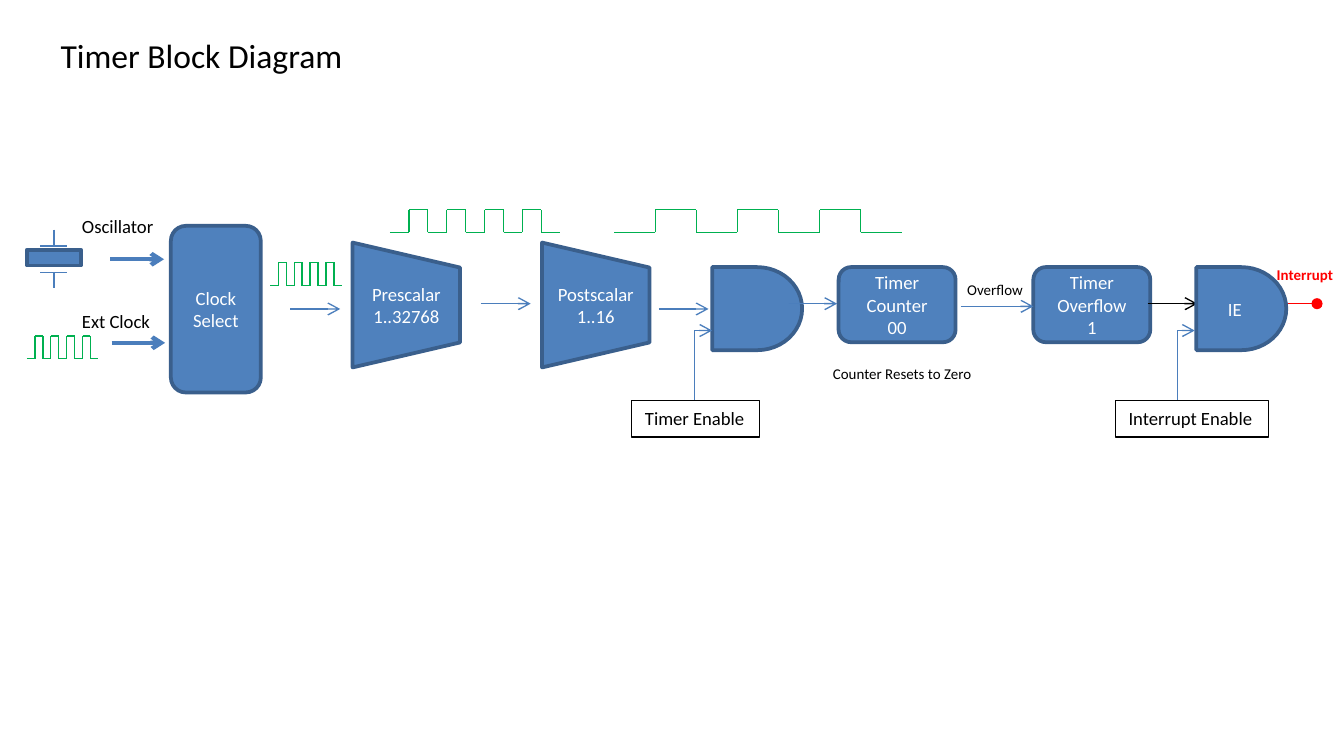
import dataclasses

import lxml.etree
import pptx
import pptx.dml.color
import pptx.enum.shapes
import pptx.enum.text
import pptx.oxml.ns
import pptx.util

Cm = pptx.util.Cm
Preset = pptx.enum.shapes.MSO_SHAPE
Connector = pptx.enum.shapes.MSO_CONNECTOR
Anchor = pptx.enum.text.MSO_ANCHOR
Align = pptx.enum.text.PP_ALIGN
AutoSize = pptx.enum.text.MSO_AUTO_SIZE
rgb = pptx.dml.color.RGBColor.from_string
qn = pptx.oxml.ns.qn


@dataclasses.dataclass(frozen=True)
class Theme:
    font: str = "Calibri"
    title_size: float = 18
    label_size: float = 10
    small_size: float = 8
    thin: float = 0.75
    outline: float = 2
    thick: float = 2.25
    block: str = "4F81BD"
    block_edge: str = "3A5F8C"
    wire: str = "4B7EBC"
    wave: str = "00B050"
    alert: str = "FF0000"
    black: str = "000000"
    white: str = "FFFFFF"


theme = Theme()


def write_text(shape, text, size=theme.label_size, color=theme.black, bold=False,
               align=Align.LEFT, anchor=Anchor.TOP, wrap=False):
    frame = shape.text_frame
    frame.word_wrap = wrap
    frame.auto_size = AutoSize.NONE if wrap else AutoSize.SHAPE_TO_FIT_TEXT
    frame.vertical_anchor = anchor
    for index, line in enumerate(text.split("\n")):
        paragraph = frame.add_paragraph() if index else frame.paragraphs[0]
        paragraph.alignment = align
        run = paragraph.add_run()
        run.text = line
        run.font.name = theme.font
        run.font.size = pptx.util.Pt(size)
        run.font.bold = bold
        run.font.color.rgb = rgb(color)


def add_wire(shapes, x1, y1, x2, y2, color=theme.wire, width=theme.thin,
             head=None, tail=None, kind=Connector.STRAIGHT):
    wire = shapes.add_connector(kind, Cm(x1), Cm(y1), Cm(x2), Cm(y2))
    wire.line.color.rgb = rgb(color)
    wire.line.width = pptx.util.Pt(width)
    properties = wire._element.spPr
    for tag, end in (("a:headEnd", head), ("a:tailEnd", tail)):
        if end:
            lxml.etree.SubElement(properties.find(qn("a:ln")), qn(tag), type=end)
    lxml.etree.SubElement(properties, qn("a:effectLst"))
    return wire


presentation = pptx.Presentation()
presentation.slide_width = Cm(25.4)
presentation.slide_height = Cm(14.29)
slide = presentation.slides.add_slide(presentation.slide_layouts[5])
shapes = slide.shapes

# Title
title = shapes.title
title.left, title.top, title.width, title.height = Cm(0.89), Cm(0.53), Cm(5.89), Cm(1.02)
write_text(title, "Timer Block Diagram", size=theme.title_size)

# Crystal leads and plates
for lead_end, plate in ((4.34, 4.65), (5.44, 5.15)):
    add_wire(shapes, 1.02, lead_end, 1.02, plate)
    add_wire(shapes, 0.76, plate, 1.27, plate)

# Arrows: x1, y, x2, format
arrows = [
    (2.08, 4.9, 3.1, {"width": theme.thick}),
    (2.11, 6.48, 3.12, {"width": theme.thick}),
    (5.49, 5.84, 6.43, {}),
    (9.09, 5.74, 10.03, {}),
    (12.45, 5.84, 13.39, {}),
    (14.91, 5.74, 15.82, {}),
    (18.16, 5.79, 19.53, {}),
    (21.69, 5.74, 22.63, {"color": theme.black}),
    (23.98, 5.74, 24.89, {"color": theme.alert, "head": "oval", "tail": "oval"}),
]

# Blocks: preset, left, top, width, height, text
trapezoid = Preset.FLOWCHART_MANUAL_OPERATION
blocks = [
    (Preset.RECTANGLE, 0.51, 4.72, 1.02, 0.3, ""),
    (Preset.ROUNDED_RECTANGLE, 3.23, 4.27, 1.7, 3.15, "Clock Select"),
    (trapezoid, 6.5, 4.75, 2.36, 2.03, "Prescalar\n1..32768"),
    (trapezoid, 10.08, 4.75, 2.36, 2.03, "Postscalar\n1..16"),
    (Preset.FLOWCHART_DELAY, 13.46, 5.05, 1.7, 1.57, ""),
    (Preset.ROUNDED_RECTANGLE, 15.85, 5.05, 2.21, 1.42, "Timer Counter\n00"),
    (Preset.ROUNDED_RECTANGLE, 19.53, 5.05, 2.21, 1.42, "Timer Overflow\n1"),
    (Preset.FLOWCHART_DELAY, 22.61, 5.05, 1.7, 1.57, "IE"),
]
for preset, left, top, width, height, text in blocks:
    if text == "IE":  # the arrows run above the other blocks and below this gate
        for x1, y, x2, style in arrows:
            add_wire(shapes, x1, y, x2, y, **{"tail": "arrow", **style})
    block = shapes.add_shape(preset, Cm(left), Cm(top), Cm(width), Cm(height))
    block.shadow.inherit = False
    block.fill.solid()
    block.fill.fore_color.rgb = rgb(theme.block)
    block.line.color.rgb = rgb(theme.block_edge)
    block.line.width = pptx.util.Pt(theme.outline)
    if text:
        write_text(block, text, color=theme.white, align=Align.CENTER,
                   anchor=Anchor.MIDDLE, wrap=True)
    if preset == trapezoid:
        block.rotation = 270
        block.text_frame._txBody.bodyPr.set("vert", "vert")

# Square waves: left, right, low level, high level, pulses
waves = [
    (0.51, 1.86, 6.78, 6.35, 4),
    (5.11, 6.46, 5.4, 4.96, 4),
    (7.37, 10.59, 4.39, 3.96, 4),
    (11.61, 17.04, 4.39, 3.96, 3),
]
for left, right, low, high, pulses in waves:
    wave = shapes.add_group_shape().shapes
    runs = 2 * pulses + 1
    step = (right - left) / runs
    for run in range(runs):
        x = left + run * step
        level = high if run % 2 else low
        add_wire(wave, x, level, x + step, level, color=theme.wave)
        if run:
            add_wire(wave, x, low, x, high, color=theme.wave)

# Enable inputs: each wire goes up, then right into the gate
for x1, x2 in ((13.13, 13.46), (22.25, 22.58)):
    y1, y2 = 7.65, 6.25
    center_x, center_y = (x1 + x2) / 2, (y1 + y2) / 2
    half_length, half_depth = (y1 - y2) / 2, (x2 - x1) / 2
    elbow = add_wire(shapes, center_x + half_length, center_y + half_depth,
                     center_x - half_length, center_y - half_depth,
                     tail="arrow", kind=Connector.ELBOW)
    properties = elbow._element.spPr
    properties.find(qn("a:xfrm")).set("rot", "5400000")
    geometry = properties.find(qn("a:prstGeom"))
    adjustments = geometry.find(qn("a:avLst"))
    if adjustments is None:
        adjustments = lxml.etree.SubElement(geometry, qn("a:avLst"))
    lxml.etree.SubElement(adjustments, qn("a:gd"), name="adj1", fmla="val 100000")

for left, width, text in ((11.94, 2.41, "Timer Enable"), (21.08, 2.9, "Interrupt Enable")):
    box = shapes.add_shape(Preset.RECTANGLE, Cm(left), Cm(7.57), Cm(width), Cm(0.69))
    box.shadow.inherit = False
    box.fill.solid()
    box.fill.fore_color.rgb = rgb(theme.white)
    box.line.color.rgb = rgb(theme.black)
    box.line.width = pptx.util.Pt(theme.thin)
    write_text(box, text)

# Labels: left, top, width, height, text, format
small = {"size": theme.small_size}
labels = [
    (1.3, 3.94, 1.88, 0.69, "Oscillator", {}),
    (1.3, 5.74, 1.8, 0.69, "Ext Clock", {}),
    (15.49, 6.76, 3.18, 0.61, "Counter Resets to Zero", small),
    (18.03, 5.18, 1.57, 0.61, "Overflow", small),
    (23.88, 4.9, 1.57, 0.61, "Interrupt", {**small, "color": theme.alert, "bold": True}),
]
for left, top, width, height, text, style in labels:
    label = shapes.add_textbox(Cm(left), Cm(top), Cm(width), Cm(height))
    write_text(label, text, **style)

presentation.save("out.pptx")
